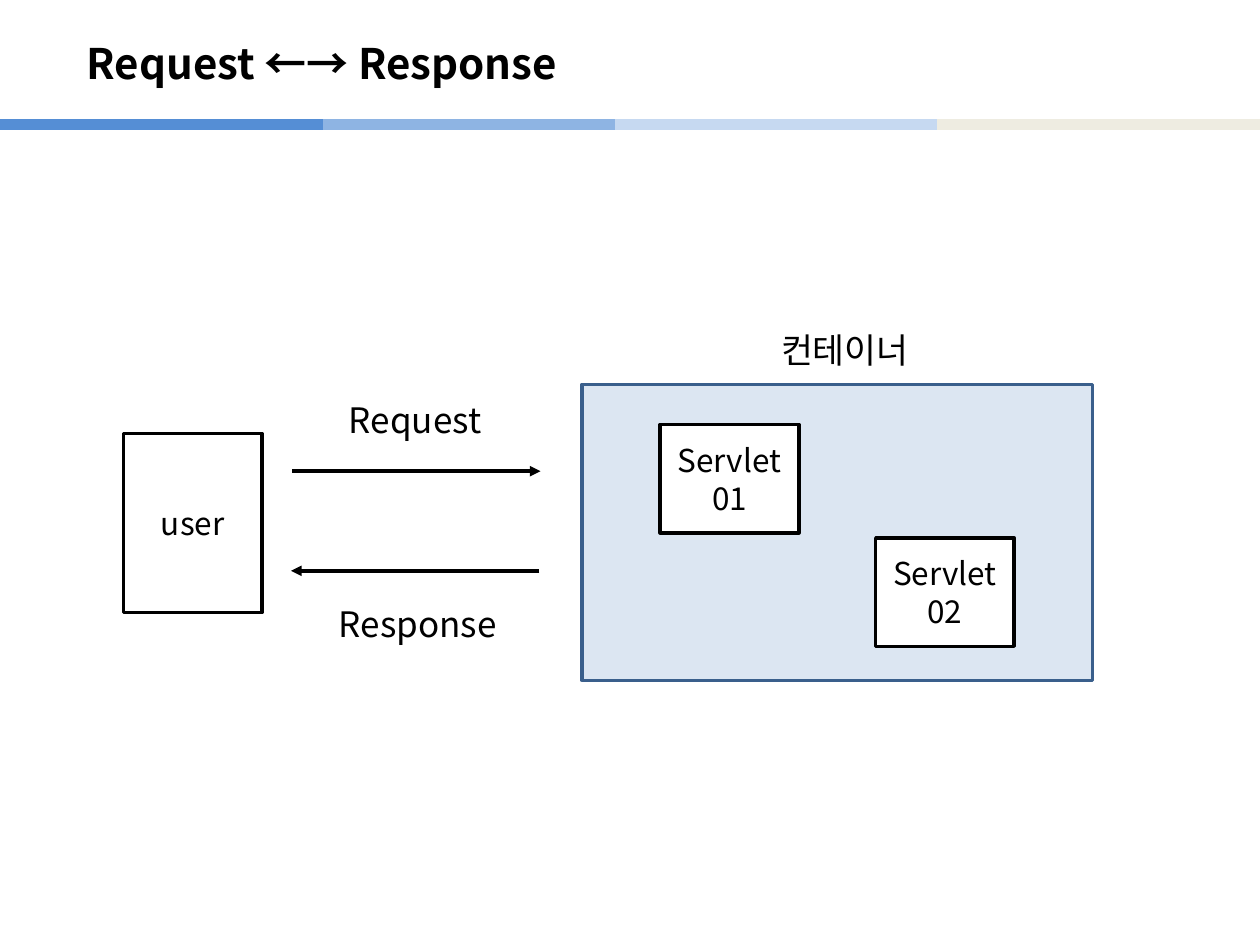
"""Build the slide on the request and response cycle of a servlet container."""
from dataclasses import dataclass

import pptx
import pptx.dml.color
import pptx.enum.shapes
import pptx.enum.text
import pptx.oxml
import pptx.oxml.ns
import pptx.util

Inches = pptx.util.Inches
SHAPES = pptx.enum.shapes.MSO_SHAPE
FONT = "Noto Sans CJK KR"
COLORS = {
    "black": "000000",
    "white": "FFFFFF",
    "container": "DCE6F2",
    "container_line": "3A5F8C",
    "band_1": "558ED5",
    "band_2": "8EB4E3",
    "band_3": "C6D9F1",
    "band_4": "EEECE1",
}


@dataclass
class Box:
    left: float
    top: float
    width: float
    height: float
    text: str = ""
    fill: str = "white"
    line: str = "black"
    preset: SHAPES = SHAPES.FLOWCHART_PROCESS


@dataclass
class Label:
    left: float
    top: float
    width: float
    height: float
    text: str
    size: float = 20
    bold: bool = False


@dataclass
class Line:
    start: float
    end: float
    y: float
    color: str = "black"
    width: float = 2
    arrow: bool = True


BANDS = [
    Line(2.32, 4.88, 0.99, "band_2", 6, False),
    Line(4.88, 7.44, 0.99, "band_3", 6, False),
    Line(7.44, 10, 0.99, "band_4", 6, False),
    Line(0, 2.56, 0.99, "band_1", 6, False),
]
BOXES = [
    Box(4.62, 3.05, 4.05, 2.35, fill="container", line="container_line",
        preset=SHAPES.RECTANGLE),
    Box(0.98, 3.44, 1.1, 1.42, "user"),
    Box(5.24, 3.37, 1.1, 0.86, "Servlet\v01"),
    Box(6.95, 4.27, 1.1, 0.86, "Servlet\v02"),
]
ARROWS = [Line(2.32, 4.29, 3.74), Line(4.28, 2.31, 4.53)]
LABELS = [
    Label(0.59, 0.2, 8.27, 0.6, "Request ←→ Response", 24, True),
    Label(2.67, 3.03, 1.5, 0.6, "Request"),
    Label(2.59, 4.65, 1.5, 0.6, "Response"),
    Label(6.1, 2.58, 1.32, 0.39, "컨테이너", 19.8),
]


def rgb(name: str) -> pptx.dml.color.RGBColor:
    return pptx.dml.color.RGBColor.from_string(COLORS[name])


def add_text(sp, text: str, *, size: float, bold: bool = False,
             align=pptx.enum.text.PP_ALIGN.LEFT) -> None:
    tf = sp.text_frame
    tf.word_wrap = True
    tf.vertical_anchor = pptx.enum.text.MSO_ANCHOR.MIDDLE
    p = tf.paragraphs[0]
    p.text = text
    p.alignment = align
    for r in p.runs:
        r.font.name = FONT
        r.font.size = pptx.util.Pt(size)
        r.font.bold = bold
        r.font.color.rgb = rgb("black")
        ea = pptx.oxml.parse_xml(
            f'<a:ea {pptx.oxml.ns.nsdecls("a")} typeface="{FONT}"/>')
        r.font._element.append(ea)


def add_box(s, box: Box) -> None:
    sp = s.shapes.add_shape(box.preset, Inches(box.left), Inches(box.top),
                            Inches(box.width), Inches(box.height))
    sp.shadow.inherit = False
    sp.fill.solid()
    sp.fill.fore_color.rgb = rgb(box.fill)
    sp.line.color.rgb = rgb(box.line)
    sp.line.width = pptx.util.Pt(2)
    if box.text:
        add_text(sp, box.text, size=18, align=pptx.enum.text.PP_ALIGN.CENTER)


def add_label(s, label: Label) -> None:
    sp = s.shapes.add_textbox(Inches(label.left), Inches(label.top),
                              Inches(label.width), Inches(label.height))
    add_text(sp, label.text, size=label.size, bold=label.bold)


def add_line(s, line: Line) -> None:
    sp = s.shapes.add_connector(
        pptx.enum.shapes.MSO_CONNECTOR.STRAIGHT,
        Inches(line.start), Inches(line.y), Inches(line.end), Inches(line.y))
    sp.line.color.rgb = rgb(line.color)
    sp.line.width = pptx.util.Pt(line.width)
    ns = pptx.oxml.ns.nsdecls("a")
    if line.arrow:
        sp.line._get_or_add_ln().append(
            pptx.oxml.parse_xml(f'<a:tailEnd {ns} type="triangle"/>'))
    sp._element.spPr.append(pptx.oxml.parse_xml(f"<a:effectLst {ns}/>"))


def main() -> None:
    prs = pptx.Presentation()
    prs.slide_width, prs.slide_height = Inches(10), Inches(7.5)
    s = prs.slides.add_slide(prs.slide_layouts[6])
    for band in BANDS:
        add_line(s, band)
    for box in BOXES:
        add_box(s, box)
    for arrow in ARROWS:
        add_line(s, arrow)
    for label in LABELS:
        add_label(s, label)
    prs.save("out.pptx")


if __name__ == "__main__":
    main()
